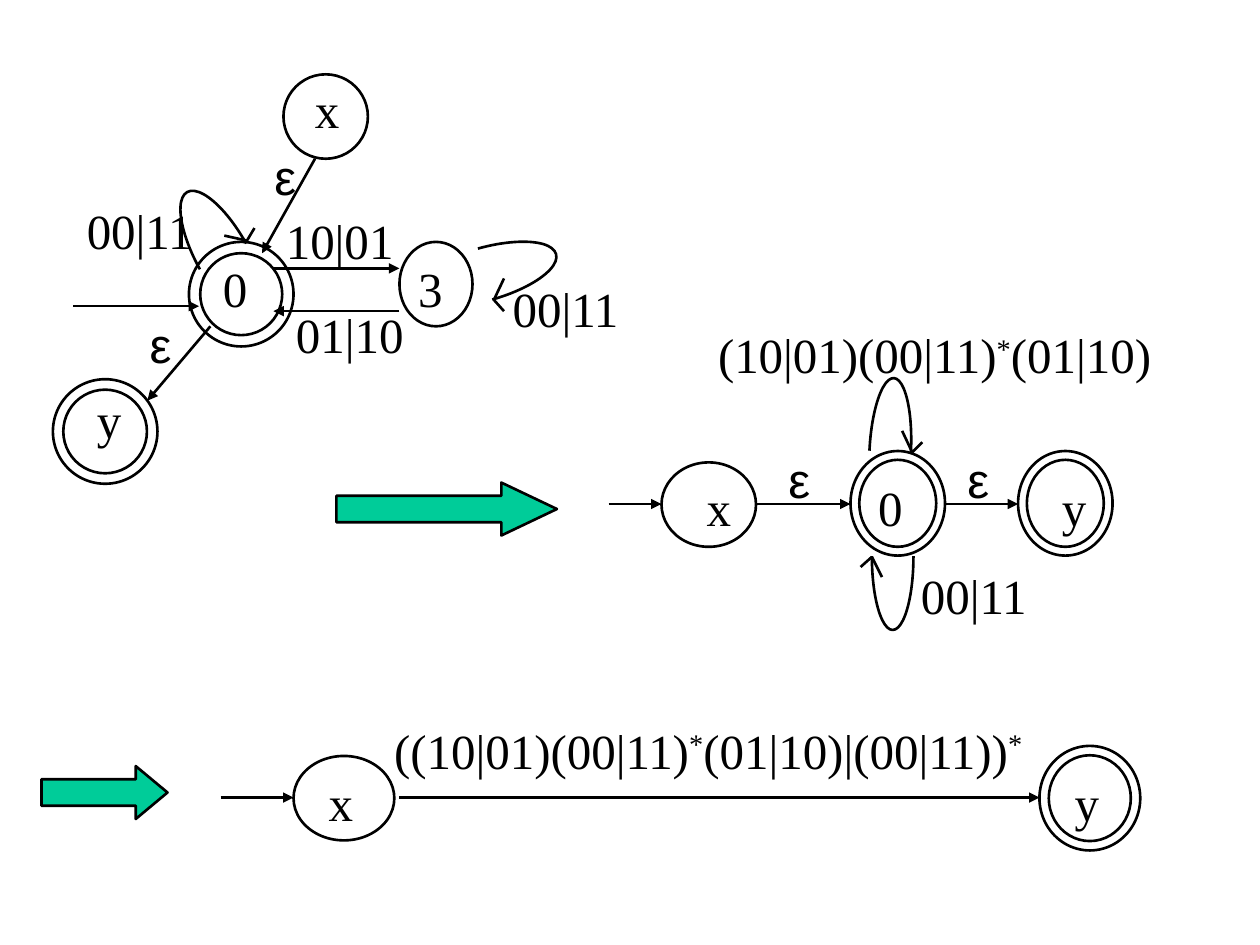
from lxml.etree import SubElement
from pptx import Presentation
from pptx.dml.color import RGBColor
from pptx.enum.shapes import MSO_CONNECTOR, MSO_SHAPE
from pptx.enum.text import MSO_AUTO_SIZE
from pptx.oxml.ns import qn
from pptx.util import Inches, Pt

BLACK = RGBColor(0, 0, 0)
GREEN = RGBColor(0, 0xCC, 0x99)
SERIF, SANS = "Times New Roman", "Arial"
ROW_H = 0.57
SLACK = 0.1  # spare width that keeps each label on one line

# States: left, top, width, height, ring share (0 for a plain circle)
STATES = [
    (2.25, 0.59, 0.67, 0.67, 0),
    (0.42, 3.01, 0.83, 0.83, 0.1),
    (3.17, 1.92, 0.58, 0.67, 0),
    (1.5, 1.92, 0.83, 0.83, 0.108),
    (5.25, 3.67, 0.75, 0.67, 0),
    (6.75, 3.58, 0.75, 0.83, 0.093),
    (8.08, 3.58, 0.75, 0.83, 0.093),
    (2.33, 6, 0.8, 0.67, 0),
    (8.25, 5.92, 0.8, 0.83, 0.093),
]

# Step arrows: left, top, width, height, head length
STEPS = [(2.67, 3.83, 1.75, 0.42, 1.05), (0.33, 6.08, 1, 0.42, 0.6)]

# Moves between states: from x, y to x, y
MOVES = [
    (2.17, 2.13, 3.17, 2.13),
    (3.17, 2.47, 2.17, 2.47),
    (0.58, 2.43, 1.58, 2.43),
    (2.5, 1.26, 2.08, 2.01),
    (1.67, 2.59, 1.17, 3.18),
    (4.83, 4, 5.25, 4),
    (6, 4, 6.75, 4),
    (7.5, 4, 8.08, 4),
    (1.75, 6.33, 2.33, 6.33),
    (3.17, 6.33, 8.25, 6.33),
]

# Self loops: ellipse box, turn, arrow tip, two barb ends
LOOPS = [
    ((3.64, 1.59, 0.42, 1.17), 254.3, (3.92, 2.38), [(4, 2.47), (4, 2.21)]),
    ((1.56, 1.45, 0.42, 1.17), 150.9, (1.96, 1.91), [(2.02, 1.81), (1.78, 1.87)]),
    ((6.92, 3.83, 0.33, 1.17), 0, (6.92, 4.42), [(6.83, 4.5), (7, 4.58)]),
    ((6.9, 3, 0.33, 1.17), 182.8, (7.24, 3.59), [(7.32, 3.51), (7.16, 3.42)]),
]

# Labels: text, left, top, width; each * is raised
LABELS = [
    ("x", 2.4, 0.58, 0.39),
    ("0", 1.67, 2, 0.39),
    ("3", 3.22, 2, 0.39),
    ("y", 0.67, 3.04, 0.39),
    ("10|01", 2.17, 1.62, 1.05),
    ("01|10", 2.25, 2.37, 1.05),
    ("00|11", 0.59, 1.54, 1.05),
    ("00|11", 3.97, 2.16, 1.05),
    ("ε", 2.08, 1.11, 0.37),
    ("ε", 1.09, 2.45, 0.37),
    ("x", 5.51, 3.74, 0.39),
    ("0", 6.87, 3.74, 0.39),
    ("y", 8.33, 3.74, 0.39),
    ("ε", 6.16, 3.52, 0.37),
    ("ε", 7.58, 3.52, 0.37),
    ("00|11", 7.21, 4.44, 1.05),
    ("(10|01)(00|11)*(01|10)", 5.6, 2.53, 3.65),
    ("x", 2.51, 6.08, 0.39),
    ("y", 8.43, 6.08, 0.39),
    ("((10|01)(00|11)*(01|10)|(00|11))*", 3.03, 5.67, 5.21),
]

deck = Presentation()
deck.slide_width, deck.slide_height = Inches(10), Inches(7.5)
shapes = deck.slides.add_slide(deck.slide_layouts[6]).shapes


def ink(line):
    line.color.rgb = BLACK
    line.width = Pt(1.5)


def draw(kind, box, adjust=(), fill=None):
    shape = shapes.add_shape(kind, *map(Inches, box))
    shape.shadow.inherit = False
    for i, value in enumerate(adjust):
        shape.adjustments[i] = value
    if fill is None:
        shape.fill.background()
    else:
        shape.fill.solid()
        shape.fill.fore_color.rgb = fill
    ink(shape.line)
    return shape


def link(ends, head=False):
    line = shapes.add_connector(MSO_CONNECTOR.STRAIGHT, *map(Inches, ends))
    ink(line.line)
    if head:
        SubElement(line.line._get_or_add_ln(), qn("a:tailEnd"), type="triangle")
    SubElement(line._element.spPr, qn("a:effectLst"))


def label(text, left, top, width):
    box = shapes.add_textbox(*map(Inches, (left, top, width + SLACK, ROW_H)))
    frame = box.text_frame
    frame.word_wrap = True
    frame.auto_size = MSO_AUTO_SIZE.NONE
    look = {"size": Pt(28), "name": SANS if text == "ε" else SERIF}
    for i, part in enumerate(text.split("*")):
        for piece in (["*"] if i else []) + ([part] if part else []):
            run = frame.paragraphs[0].add_run()
            run.text = piece
            for key, value in look.items():
                setattr(run.font, key, value)
            run.font.color.rgb = BLACK
            if piece == "*":
                run.font._element.set("baseline", "30000")


# States and step arrows
for *box, ring in STATES:
    if ring:
        draw(MSO_SHAPE.DONUT, box, [ring])
    else:
        draw(MSO_SHAPE.OVAL, box)
for *box, head in STEPS:
    draw(MSO_SHAPE.RIGHT_ARROW, box, [0.5, head], GREEN)

# Moves
for ends in MOVES:
    link(ends, head=True)

# Self loops: the lower half of an ellipse, 0 to 180 degrees (108 = 180 * 0.6)
for box, turn, tip, barbs in LOOPS:
    draw(MSO_SHAPE.ARC, box, [0, 108]).rotation = turn
    for barb in barbs:
        link(tip + barb)

# Labels
for item in LABELS:
    label(*item)

deck.save("out.pptx")
